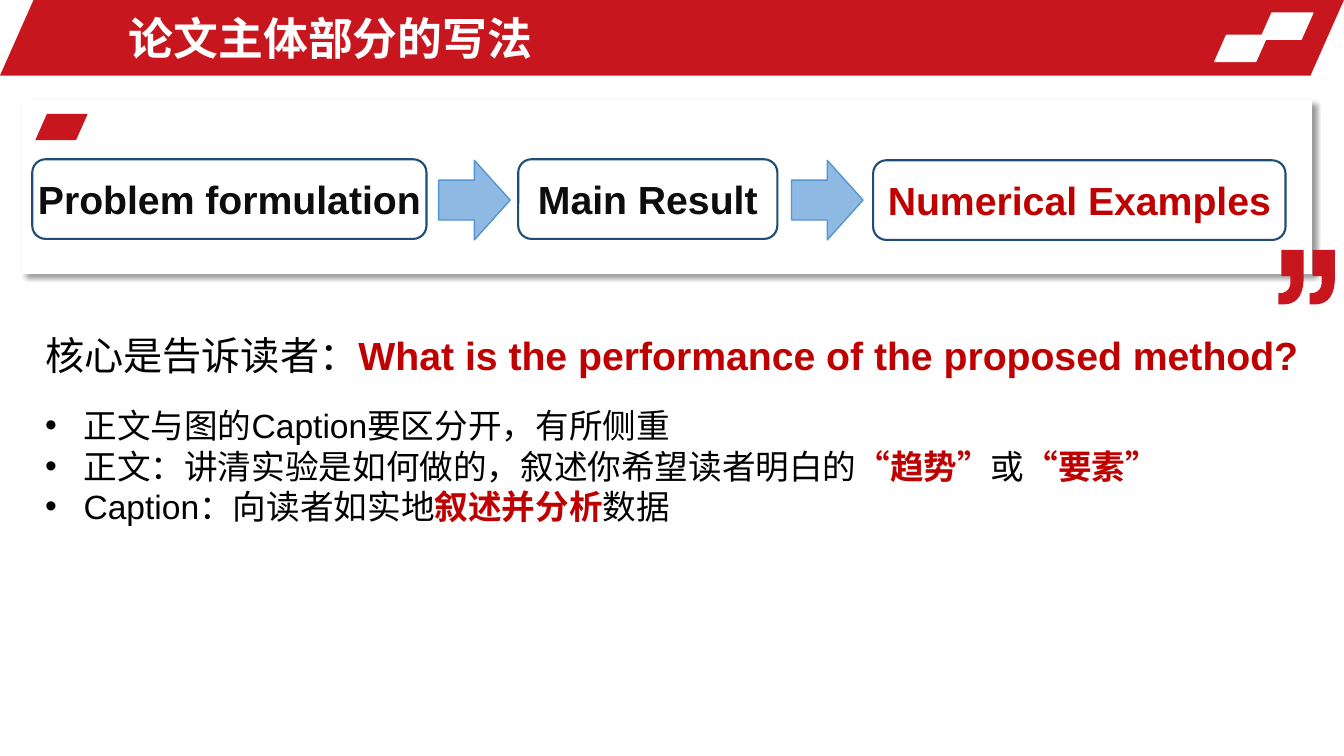
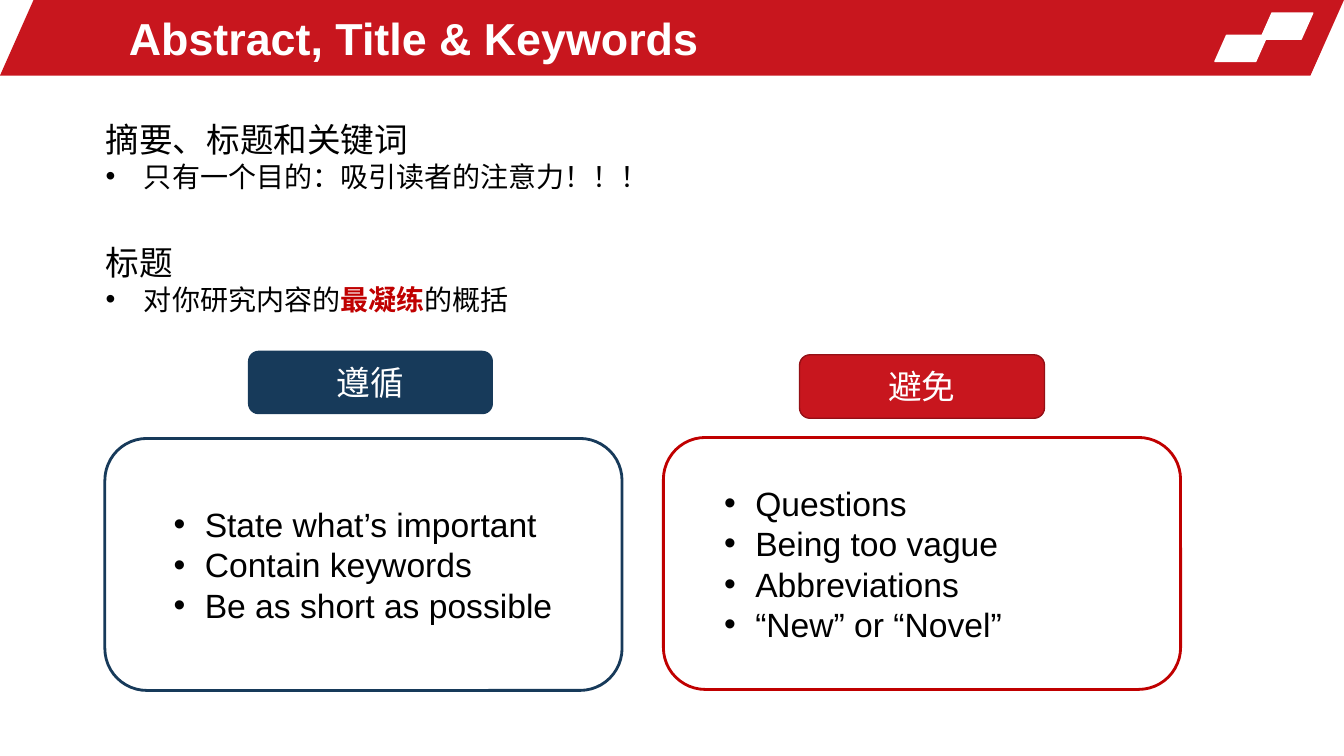
"""Build two slides on writing the body, title and abstract of a paper."""
from dataclasses import dataclass

from lxml.etree import SubElement
from pptx import Presentation
from pptx.dml.color import RGBColor
from pptx.enum.shapes import MSO_SHAPE as Kind
from pptx.enum.text import MSO_ANCHOR, PP_ALIGN
from pptx.oxml.ns import qn
from pptx.util import Inches, Pt


@dataclass(frozen=True)
class Theme:
    font: str = "Arial"
    red: str = "C8161E"
    rim: str = "941016"
    key: str = "C00000"
    navy: str = "173A5A"
    edge: str = "1F4D78"
    sky: str = "8DB9E2"
    blue: str = "5495D3"
    white: str = "FFFFFF"
    black: str = "000000"
    ink: str = "0D0D0D"
    title: int = 32
    head: int = 28
    body: int = 24
    small: int = 20


T = Theme()


def draw(page, kind, at, fill=None, line=None, width=1, bend=None):
    shape = page.shapes.add_shape(kind, *map(Inches, at))
    shape.shadow.inherit = False
    if bend is not None:
        shape.adjustments[0] = bend
    if fill:
        shape.fill.solid()
        shape.fill.fore_color.rgb = RGBColor.from_string(fill)
    else:
        shape.fill.background()
    if line:
        shape.line.color.rgb = RGBColor.from_string(line)
        shape.line.width = Pt(width)
    else:
        shape.line.fill.background()
    return shape


def write(shape, paras, align=PP_ALIGN.LEFT, anchor=MSO_ANCHOR.TOP, left=0.1, right=0.1):
    frame = shape.text_frame
    frame.word_wrap = True
    frame.vertical_anchor = anchor
    frame.margin_left, frame.margin_right = Inches(left), Inches(right)
    for num, (size, hang, runs) in enumerate(paras):
        para = frame.add_paragraph() if num else frame.paragraphs[0]
        para.alignment = align
        if hang:
            props = para._p.get_or_add_pPr()
            props.set("marL", str(Inches(hang)))
            props.set("indent", str(-Inches(hang)))
            SubElement(props, qn("a:buFont"), typeface=T.font)
            SubElement(props, qn("a:buChar"), char="•")
        for text, color, bold in runs:
            run = para.add_run()
            run.text = text
            run.font.name = T.font
            run.font.size = Pt(size)
            run.font.bold = bold
            run.font.color.rgb = RGBColor.from_string(color)


deck = Presentation()
deck.slide_width, deck.slide_height = Inches(13.33), Inches(7.5)
slant = 0.444
pages = []
for title in ("论文主体部分的写法", "Abstract, Title & Keywords"):
    page = deck.slides.add_slide(deck.slide_layouts[6])
    draw(page, Kind.PARALLELOGRAM, (0, 0, 13.33, 0.75), T.red, bend=slant)
    for x, y in ((12.5, 0.13), (12.05, 0.35)):
        draw(page, Kind.PARALLELOGRAM, (x, y, 0.52, 0.26), T.white, T.white, bend=slant)
    box = page.shapes.add_textbox(*map(Inches, (1.18, 0.05, 7.74, 0.65)))
    write(box, [(T.title, 0, [(title, T.white, True)])], anchor=MSO_ANCHOR.MIDDLE)
    pages.append(page)
main, front = pages

card = draw(main, Kind.ROUNDED_RECTANGLE, (0.22, 0.99, 12.79, 1.73), T.white, bend=0)
glow = SubElement(card._element.spPr.find(qn("a:effectLst")), qn("a:outerShdw"),
                  blurRad=str(Pt(4)), dist=str(Pt(3)), dir="2700000", algn="tl", rotWithShape="0")
tint = SubElement(glow, qn("a:srgbClr"), val=T.black)
SubElement(tint, qn("a:alpha"), val="40000")
draw(main, Kind.PARALLELOGRAM, (0.35, 1.13, 0.52, 0.26), T.red, bend=slant)

outer = ((12.93, 2.76), (12.93, 2.93), (12.86, 3.02), (12.73, 3.02))
inner = ((12.68, 2.91), (12.76, 2.91), (12.8, 2.87), (12.8, 2.79))
curves = []
for a, b, c, d in (outer, inner):
    steps = [n / 12 for n in range(13)]
    curves.append([tuple((1 - t) ** 3 * a[i] + 3 * t * (1 - t) ** 2 * b[i]
                         + 3 * t * t * (1 - t) * c[i] + t ** 3 * d[i] for i in (0, 1))
                   for t in steps])
mark = [(12.71, 2.48), (12.93, 2.48), *curves[0], (12.68, 3.02), *curves[1], (12.8, 2.74), (12.71, 2.74)]
pen = main.shapes.build_freeform(Inches(mark[0][0]), Inches(mark[0][1]))
for shift in (0, 0.31):
    dots = [(Inches(x + shift), Inches(y)) for x, y in mark]
    if shift:
        pen.move_to(*dots[0])
    pen.add_line_segments(dots[1:], close=True)
quote = pen.convert_to_shape()
quote.shadow.inherit = False
quote.fill.solid()
quote.fill.fore_color.rgb = RGBColor.from_string(T.red)
quote.line.fill.background()

for text, x, y, width, color in (
    ("Problem formulation", 0.32, 1.58, 3.91, T.ink),
    ("Main Result", 5.14, 1.58, 2.57, T.ink),
    ("Numerical Examples", 8.66, 1.59, 4.09, T.key),
):
    step = draw(main, Kind.ROUNDED_RECTANGLE, (x, y, width, 0.79), line=T.edge, width=1.5)
    write(step, [(T.head, 0, [(text, color, True)])], PP_ALIGN.CENTER, MSO_ANCHOR.MIDDLE, 0, 0)
for x in (4.35, 7.85):
    draw(main, Kind.RIGHT_ARROW, (x, 1.59, 0.71, 0.79), T.sky, T.blue)

hang = 0.38
for page, at, paras in (
    (main, (0.35, 3.24, 12.89, 0.57), [
        (T.head, 0, [("核心是告诉读者：", T.black, False),
                     ("What is the performance of the proposed method?", T.key, True)]),
    ]),
    (main, (0.35, 3.97, 11.49, 1.31), [
        (T.body, hang, [("正文与图的Caption要区分开，有所侧重", T.black, False)]),
        (T.body, hang, [("正文：讲清实验是如何做的，叙述你希望读者明白的", T.black, False),
                        ("“趋势”", T.key, True), ("或", T.black, False), ("“要素”", T.key, True)]),
        (T.body, hang, [("Caption：向读者如实地", T.black, False),
                        ("叙述并分析", T.key, True), ("数据", T.black, False)]),
    ]),
    (front, (0.95, 1.13, 6, 0.84), [
        (T.body, 0, [("摘要、标题和关键词", T.black, False)]),
        (T.small, hang, [("只有一个目的：吸引读者的注意力！！！", T.black, False)]),
    ]),
    (front, (0.95, 2.35, 6, 0.84), [
        (T.body, 0, [("标题", T.black, False)]),
        (T.small, hang, [("对你研究内容的", T.black, False), ("最凝练", T.key, True),
                         ("的概括", T.black, False)]),
    ]),
):
    write(page.shapes.add_textbox(*map(Inches, at)), paras)

for label, tab, fill, rim, panel, line, left, items in (
    ("遵循", (2.46, 3.48), T.navy, None, (1.04, 4.35), T.navy, 0.56,
     ("State what’s important", "Contain keywords", "Be as short as possible")),
    ("避免", (7.93, 3.52), T.red, T.rim, (6.58, 4.34), T.key, 0.48,
     ("Questions", "Being too vague", "Abbreviations", "“New” or “Novel”")),
):
    head = draw(front, Kind.ROUNDED_RECTANGLE, (*tab, 2.43, 0.63), fill, rim)
    write(head, [(T.body, 0, [(label, T.white, False)])], PP_ALIGN.CENTER, MSO_ANCHOR.MIDDLE)
    body = draw(front, Kind.ROUNDED_RECTANGLE, (*panel, 5.13, 2.5), line=line, width=2)
    write(body, [(T.body, 0.31, [(item, T.black, False)]) for item in items],
          anchor=MSO_ANCHOR.MIDDLE, left=left)

deck.save("out.pptx")
